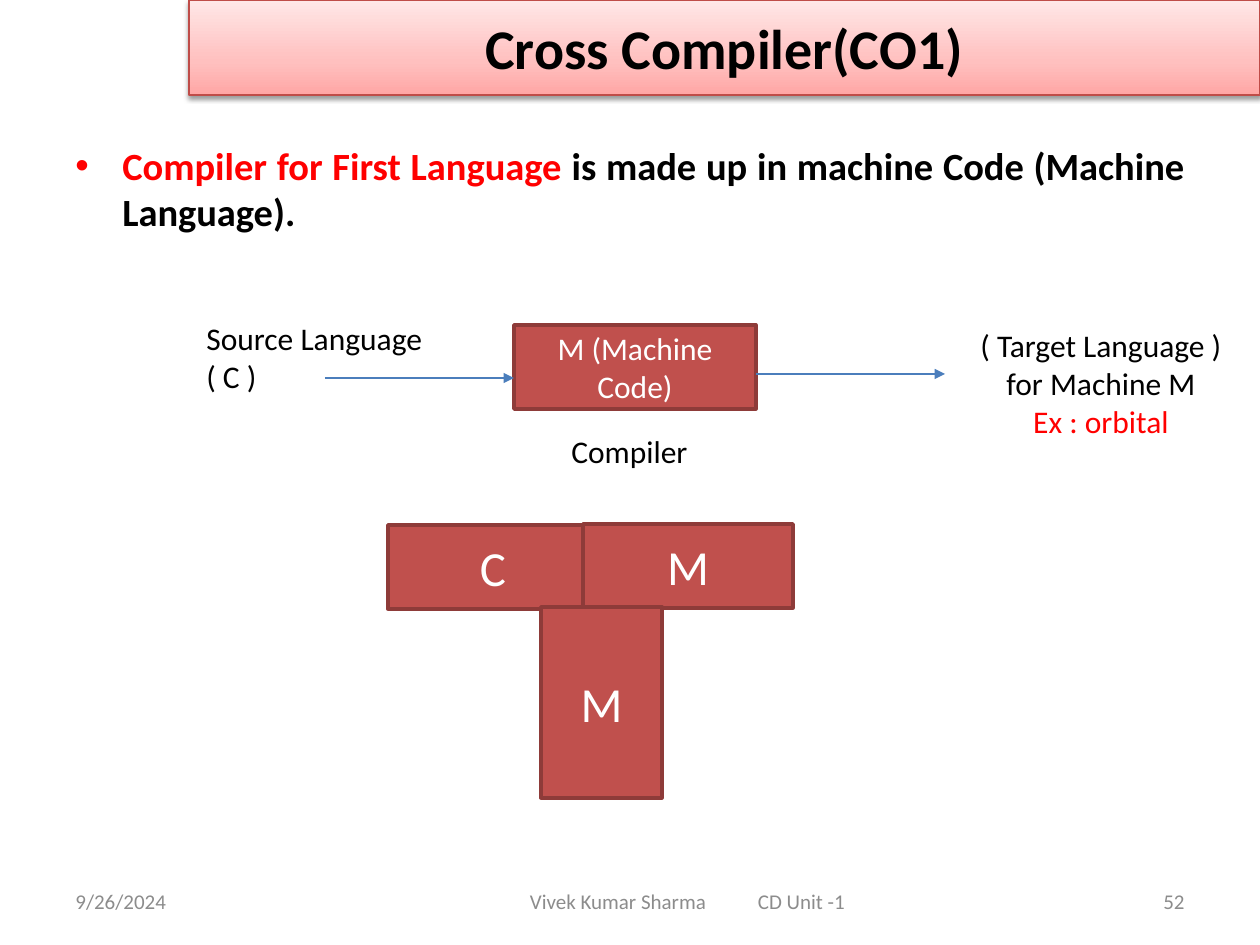
from copy import deepcopy

from lxml import etree
from pptx import Presentation
from pptx.dml.color import RGBColor
from pptx.enum.shapes import MSO_CONNECTOR, MSO_SHAPE
from pptx.enum.text import MSO_ANCHOR, PP_ALIGN
from pptx.oxml.ns import qn
from pptx.util import Emu, Pt

LEFT, CENTER, RIGHT, JUSTIFY = PP_ALIGN.LEFT, PP_ALIGN.CENTER, PP_ALIGN.RIGHT, PP_ALIGN.JUSTIFY
TOP, MIDDLE = MSO_ANCHOR.TOP, MSO_ANCHOR.MIDDLE
RECTANGLE = MSO_SHAPE.RECTANGLE
STRAIGHT = MSO_CONNECTOR.STRAIGHT

BLACK = RGBColor(0x00, 0x00, 0x00)
WHITE = RGBColor(0xFF, 0xFF, 0xFF)
RED = RGBColor(0xFF, 0x00, 0x00)
GRAY = RGBColor(0x8C, 0x8C, 0x8C)
BRICK = RGBColor(0xC0, 0x50, 0x4D)
DARK_BRICK = RGBColor(0x8E, 0x3B, 0x39)
TITLE_LINE = RGBColor(0xBF, 0x4C, 0x48)
ARROW_BLUE = RGBColor(0x4B, 0x7E, 0xBC)
TITLE_STOPS = [(0, RGBColor(0xFF, 0xA6, 0xA5)),
               (0.35, RGBColor(0xFF, 0xC0, 0xBF)),
               (1, RGBColor(0xFF, 0xE7, 0xE7))]
PX = 914400 / 126


def px(*lengths):
    return [Emu(round(length * PX)) for length in lengths]


def write(shape, lines, size, color, align=LEFT, anchor=TOP, bold=False):
    frame = shape.text_frame
    frame.word_wrap = True
    frame.vertical_anchor = anchor
    for index, line in enumerate(lines):
        paragraph = frame.paragraphs[0] if index == 0 else frame.add_paragraph()
        paragraph.text = line
        paragraph.alignment = align
        font = paragraph.font
        font.name, font.size, font.bold = "Calibri", Pt(size), bold
        font.color.rgb = color
    return frame.paragraphs


presentation = Presentation()
presentation.slide_width, presentation.slide_height = px(1260, 945)
slide = presentation.slides.add_slide(presentation.slide_layouts[6])
shapes = slide.shapes

# Footer: date, author and unit, page number
for left, width, text, align in [(63, 294, "9/26/2024", LEFT),
                                 (305, 766, "Vivek Kumar Sharma\tCD Unit -1", LEFT),
                                 (903, 294, "52", RIGHT)]:
    footer = shapes.add_textbox(*px(left, 876, width, 50))
    paragraph = footer.text_frame.paragraphs[0]
    if "\t" in text:
        footer.text_frame.margin_left = px(225)[0]
        tabs = etree.SubElement(paragraph._p.get_or_add_pPr(), qn("a:tabLst"))
        etree.SubElement(tabs, qn("a:tab"), pos=str(px(228)[0]), algn="l")
    write(footer, [text], 12, GRAY, align, MIDDLE)

# Title banner with gradient and soft shadow
banner = shapes.add_shape(RECTANGLE, *px(189, 0, 1071, 95))
banner.line.color.rgb = TITLE_LINE
banner.line.width = Pt(0.75)
banner.fill.gradient()
banner.fill.gradient_angle = 90
stop_list = banner._element.spPr.find(f"{qn('a:gradFill')}/{qn('a:gsLst')}")
stop_list.append(deepcopy(stop_list[0]))
for stop, (position, color) in zip(banner.fill.gradient_stops, TITLE_STOPS):
    stop.position = position
    stop.color.rgb = color
banner.shadow.inherit = False
shadow = etree.SubElement(banner._element.spPr.find(qn("a:effectLst")), qn("a:outerShdw"),
                          blurRad=str(Pt(3.1)), dist=str(Pt(1.6)), dir="5400000", rotWithShape="0")
shadow_color = etree.SubElement(shadow, qn("a:srgbClr"), val="000000")
etree.SubElement(shadow_color, qn("a:alpha"), val="38000")
write(banner, ["Cross Compiler(CO1)"], 32, BLACK, CENTER, MIDDLE, bold=True)

# Bulleted statement
body = shapes.add_textbox(*px(63, 136, 1134, 708))
paragraph = body.text_frame.paragraphs[0]
properties = paragraph._p.get_or_add_pPr()
indent = px(47)[0]
properties.set("marL", str(indent))
properties.set("indent", str(-indent))
etree.SubElement(properties, qn("a:buFont"), typeface="Arial")
etree.SubElement(properties, qn("a:buChar"), char="•")
write(body, ["Compiler for First Language "], 22, BLACK, JUSTIFY, bold=True)
paragraph.runs[0].font.color.rgb = RED
paragraph.add_run().text = "is made up in machine Code (Machine Language)."

# Compiler box and the T-diagram
for left, top, width, height, text, size in [
        (514, 325, 242, 84, "M (Machine Code)", 18),
        (388, 525, 210, 84, "C", 28),
        (583, 524, 210, 84, "M", 28),
        (541, 607, 121, 191, "M", 28)]:
    box = shapes.add_shape(RECTANGLE, *px(left, top, width, height))
    box.shadow.inherit = False
    box.fill.solid()
    box.fill.fore_color.rgb = BRICK
    box.line.color.rgb = DARK_BRICK
    box.line.width = Pt(2)
    write(box, [text], size, WHITE, CENTER, MIDDLE)

# Arrows into and out of the compiler
for start, end, y in [(325, 514, 378), (756, 945, 374)]:
    arrow = shapes.add_connector(STRAIGHT, *px(start, y, end, y))
    arrow.line.color.rgb = ARROW_BLUE
    arrow.line.width = Pt(0.75)
    etree.SubElement(arrow.line._get_or_add_ln(), qn("a:tailEnd"), type="triangle")
    etree.SubElement(arrow._element.spPr, qn("a:effectLst"))

# Labels around the compiler
for left, top, width, height, lines, align in [
        (194, 313, 262, 89, ["Source Language\v( C )"], LEFT),
        (963, 320, 276, 127, ["( Target Language ) for Machine M", "Ex : orbital"], CENTER),
        (559, 426, 151, 50, ["Compiler"], LEFT)]:
    label = shapes.add_textbox(*px(left, top, width, height))
    paragraphs = write(label, lines, 18, BLACK, align)
    if len(lines) > 1:
        paragraphs[-1].font.color.rgb = RED

presentation.save("out.pptx")
